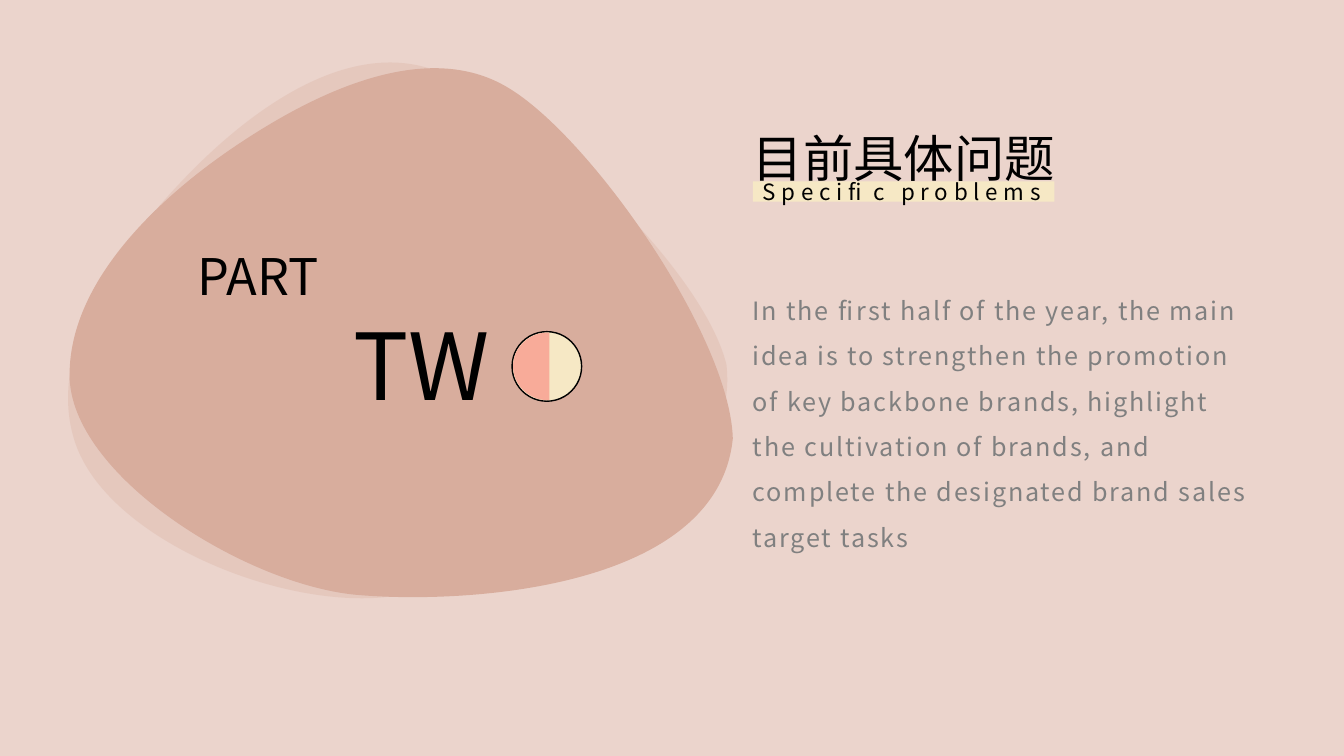
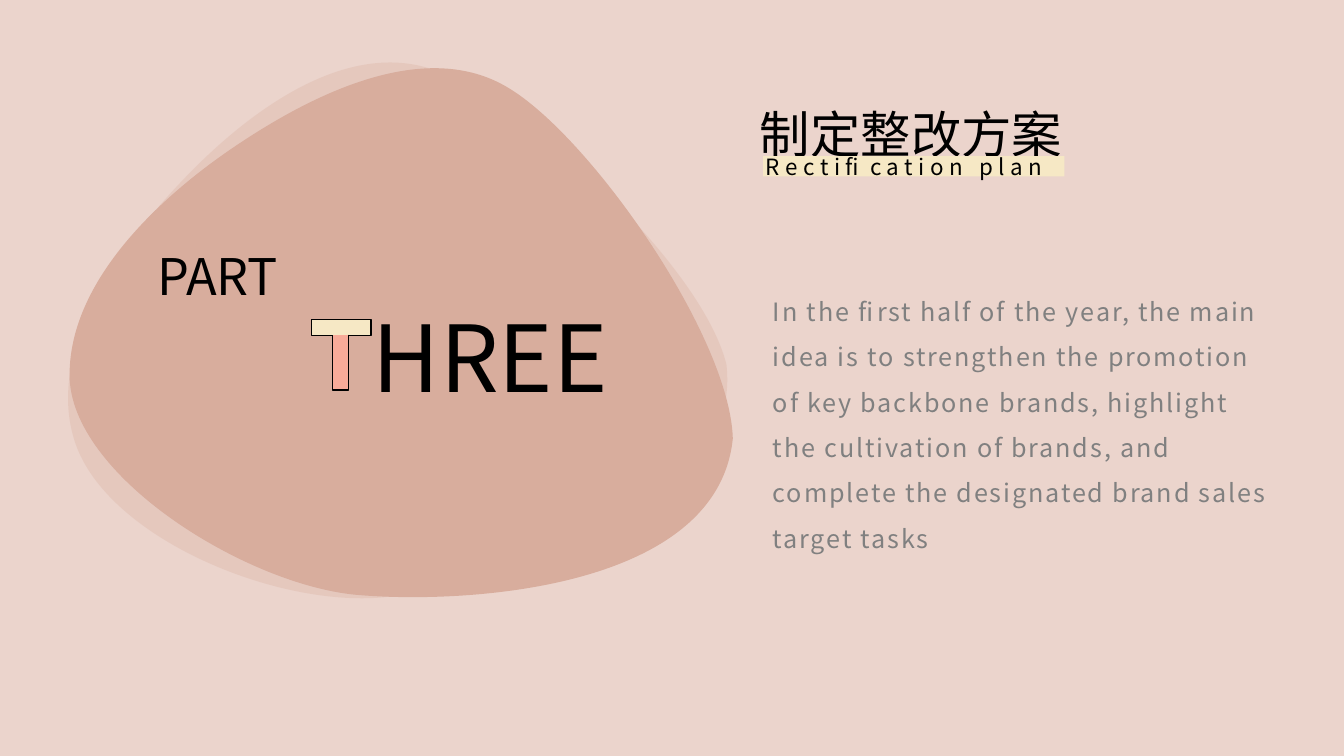
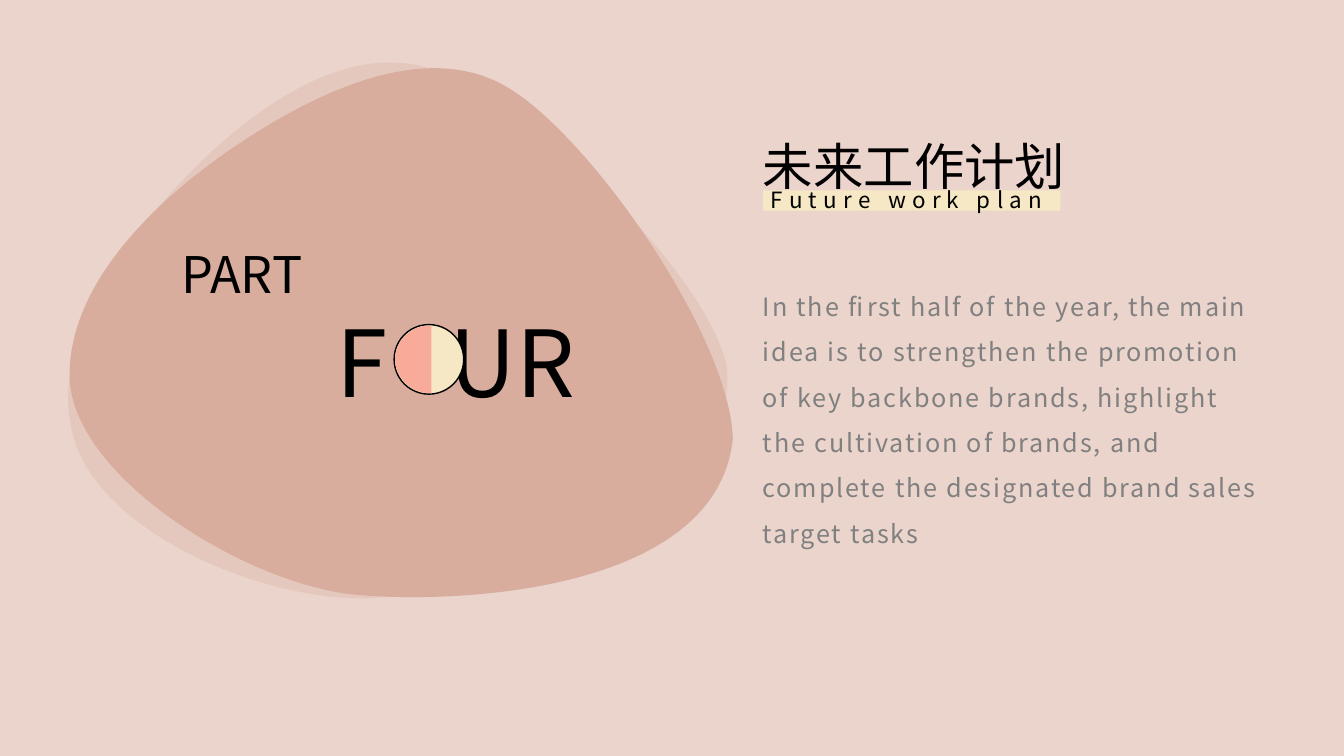
import lxml.etree
import pptx
import pptx.dml.color
import pptx.enum.shapes
import pptx.enum.text
import pptx.oxml.ns
import pptx.util

PX = 9144  # EMU in one px, 100 px to the inch
FONT = "Noto Sans CJK SC"
COLOURS = {
    "background": "EBD4CC",
    "blob": "D8AD9D",
    "cream": "F6E8C5",
    "coral": "F8AB99",
    "ink": "000000",
    "grey": "808080",
}
BODY = (
    "In the first half of the year, the main idea is to strengthen the "
    "promotion of key backbone brands, highlight the cultivation of brands, "
    "and complete the designated brand sales target tasks"
)

# Outlines: a start point, then steps of one point (line) or three (curve)
BLOB_FRONT = [
    [(172, 72)],
    [(100, 119), (0, 205), (0, 304)],
    [(0, 403), (173, 511), (283, 522)],
    [(392, 532), (643, 517), (658, 367)],
    [(655, 265), (516, 67), (435, 19)],
    [(354, -30), (245, 24), (172, 72)],
]
BLOB_BACK = [
    [(163, 73)],
    [(93, 120), (-10, 208), (1, 307)],
    [(12, 407), (165, 512), (273, 522)],
    [(382, 533), (634, 518), (649, 367)],
    [(646, 265), (507, 68), (426, 20)],
    [(345, -29), (234, 25), (163, 73)],
]
HALF_DISC = [
    [(34, 0)],
    [(36, 0)],
    [(36, 67)],
    [(34, 67)],
    [(16, 67), (0, 52), (0, 33)],
    [(0, 15), (16, 0), (34, 0)],
]
LETTER_STEM = [[(16, 0)], [(16, 55)], [(0, 55)], [(0, 0)]]

CHAPTERS = [
    {
        "title": ("目前具体问题", (737, 121, 363, 71)),
        "band": (747, 180, 299, 20),
        "subtitle": ("Specific problems", (747, 172, 317, 37), 410),
        "body": (737, 273), "part": (186, 238),
        "letters": ("TW", (341, 301, 182, 121)), "disc": (508, 329),
    },
    {
        "title": ("制定整改方案", (744, 97, 376, 71)),
        "band": (757, 155, 299, 20),
        "subtitle": ("Rectification plan", (750, 147, 323, 37), 400),
        "body": (757, 274), "part": (146, 238),
        "letters": ("HREE", (360, 293, 291, 121)), "letter_t": (309, 317),
    },
    {
        "title": ("未来工作计划", (747, 129, 333, 71)),
        "band": (757, 189, 295, 20),
        "subtitle": ("Future work plan", (755, 180, 325, 37), 450),
        "body": (747, 269), "part": (170, 236),
        "letters": ("F\tUR", (324, 298, 302, 121), 112), "disc": (391, 322),
    },
]


def px(value):
    return pptx.util.Emu(round(value * PX))


def colour(name):
    return pptx.dml.color.RGBColor.from_string(COLOURS[name])


def add_element(parent, tag, **attributes):
    element = lxml.etree.SubElement(parent, pptx.oxml.ns.qn(tag))
    for name, value in attributes.items():
        element.set(name, str(value))
    return element


def paint(shape, fill, outlined=False, opacity=None):
    shape.shadow.inherit = False
    shape.fill.solid()
    shape.fill.fore_color.rgb = colour(fill)
    if opacity is not None:
        for element in shape._element.spPr.iter(pptx.oxml.ns.qn("a:srgbClr")):
            add_element(element, "a:alpha", val=opacity * 1000)
    if outlined:
        shape.line.color.rgb = colour("ink")
        shape.line.width = pptx.util.Pt(1)
    else:
        shape.line.fill.background()


def add_preset(shapes, kind, box, fill, outlined=False):
    paint(shapes.add_shape(kind, *map(px, box)), fill, outlined)


def add_outline(shapes, box, outline, fill, outlined=False, opacity=None, close=True):
    """Freeform filling the box, with its lines and curves relative to it."""
    left, top, width, height = box
    builder = shapes.build_freeform(0, 0, scale=PX)
    builder.add_line_segments([(width, height)], close=False)
    shape = builder.convert_to_shape(px(left), px(top))
    drawing = next(shape._element.spPr.iter(pptx.oxml.ns.qn("a:path")))
    for child in list(drawing):
        drawing.remove(child)
    for index, points in enumerate(outline):
        tag = "a:cubicBezTo" if len(points) == 3 else "a:lnTo"
        step = add_element(drawing, tag if index else "a:moveTo")
        for x, y in points:
            add_element(step, "a:pt", x=x, y=y)
    if close:
        add_element(drawing, "a:close")
    paint(shape, fill, outlined, opacity)
    return shape


def add_text(shapes, text, box, size, ink="ink", spacing=None, line_spacing=None, tab=None):
    frame = shapes.add_textbox(*map(px, box)).text_frame
    frame.word_wrap = True
    frame.auto_size = pptx.enum.text.MSO_AUTO_SIZE.SHAPE_TO_FIT_TEXT
    paragraph = frame.paragraphs[0]
    paragraph.text = text
    paragraph.line_spacing = line_spacing
    if tab is not None:
        tabs = add_element(paragraph._p.get_or_add_pPr(), "a:tabLst")
        add_element(tabs, "a:tab", pos=px(tab), algn="l")
    font = paragraph.font
    font.size = pptx.util.Pt(size)
    font.color.rgb = colour(ink)
    font.name = FONT
    add_element(font._rPr, "a:ea", typeface=FONT)
    if spacing is not None:
        font._rPr.set("spc", str(spacing))


def add_blob(shapes, left, top):
    add_outline(shapes, (left + 12, top + 3, 658, 525), BLOB_FRONT, "blob")
    back = add_outline(shapes, (left, top, 649, 525), BLOB_BACK, "blob", opacity=30)
    back.rotation = 347.9


def add_heading(shapes, title, band, subtitle):
    title_text, title_box = title
    subtitle_text, subtitle_box, spacing = subtitle
    add_text(shapes, title_text, title_box, 36)
    add_preset(shapes, pptx.enum.shapes.MSO_SHAPE.RECTANGLE, band, "cream")
    add_text(shapes, subtitle_text, subtitle_box, 16, spacing=spacing)


def add_disc(shapes, left, top):
    """Two-coloured disc that stands for the letter O."""
    kind = pptx.enum.shapes.MSO_SHAPE.FLOWCHART_CONNECTOR
    add_preset(shapes, kind, (left, top, 69, 69), "cream", outlined=True)
    add_outline(shapes, (left + 1, top + 1, 36, 67), HALF_DISC, "coral")


def add_letter_t(shapes, left, top):
    """Two-coloured letter T."""
    kind = pptx.enum.shapes.MSO_SHAPE.RECTANGLE
    add_preset(shapes, kind, (left, top, 59, 16), "cream", outlined=True)
    stem_box = (left + 21, top + 15, 16, 55)
    add_outline(shapes, stem_box, LETTER_STEM, "coral", outlined=True, close=False)


def add_number(shapes, chapter):
    add_text(shapes, "PART", (*chapter["part"], 176, 71), 36)
    text, box, *tab = chapter["letters"]
    add_text(shapes, text, box, 66, tab=tab[0] if tab else None)
    if "disc" in chapter:
        add_disc(shapes, *chapter["disc"])
    if "letter_t" in chapter:
        add_letter_t(shapes, *chapter["letter_t"])


def add_chapter(presentation, chapter):
    slide = presentation.slides.add_slide(presentation.slide_layouts[6])
    slide.background.fill.solid()
    slide.background.fill.fore_color.rgb = colour("background")
    shapes = slide.shapes
    add_blob(shapes.add_group_shape().shapes, 57, 65)
    # Heading and introduction
    heading = shapes.add_group_shape().shapes
    add_heading(heading, chapter["title"], chapter["band"], chapter["subtitle"])
    add_text(shapes, BODY, (*chapter["body"], 522, 283), 18, "grey", 130, 1.5)
    # Chapter number
    add_number(shapes.add_group_shape().shapes, chapter)


def main():
    presentation = pptx.Presentation()
    presentation.slide_width = pptx.util.Emu(12192000)
    presentation.slide_height = px(750)
    for chapter in CHAPTERS:
        add_chapter(presentation, chapter)
    presentation.save("out.pptx")


if __name__ == "__main__":
    main()
